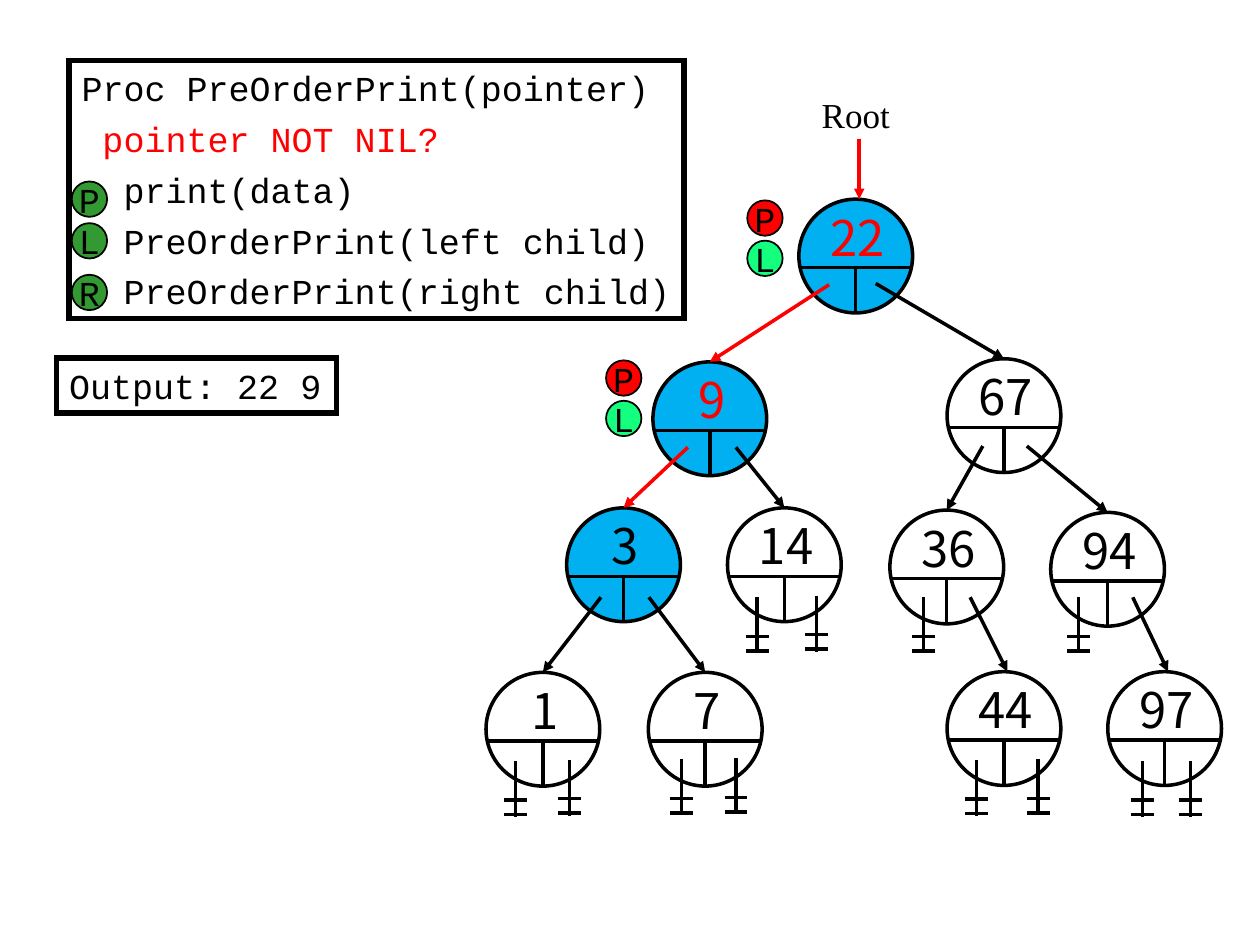
from dataclasses import dataclass
from typing import Any, Optional

from lxml.etree import SubElement
from pptx import Presentation
from pptx.dml.color import RGBColor
from pptx.enum.shapes import MSO_CONNECTOR, MSO_SHAPE
from pptx.enum.text import MSO_ANCHOR, MSO_AUTO_SIZE, PP_ALIGN
from pptx.oxml.ns import qn
from pptx.util import Pt

BLACK = RGBColor(0x00, 0x00, 0x00)
RED = RGBColor(0xFF, 0x00, 0x00)
VISITED_BLUE = RGBColor(0x00, 0xB0, 0xF0)
STEP_GREEN = RGBColor(0x33, 0x99, 0x33)
ACTIVE_GREEN = RGBColor(0x15, 0xFF, 0x7F)

CODE_FONT = {"name": "Courier New", "size": Pt(20)}
LABEL_FONT = {"name": "Times New Roman", "size": Pt(20)}
KEY_FONT = {"name": "Noto Sans CJK KR", "size": Pt(28)}
GROWING_FRAME = {
    "word_wrap": False,
    "auto_size": MSO_AUTO_SIZE.SHAPE_TO_FIT_TEXT,
    "vertical_anchor": MSO_ANCHOR.TOP,
}
CENTRED_FRAME = {"word_wrap": False, "vertical_anchor": MSO_ANCHOR.MIDDLE}

NODE_SIZE = 65
CHORD_DROP = 39.2
BADGE_SIZE = 20.2


@dataclass
class Node:
    key: str
    left: float
    top: float
    fill: Optional[RGBColor] = None
    color: RGBColor = BLACK


@dataclass
class Link:
    """An arrow to the top of a child, moved sideways by shift."""
    start_x: float
    start_y: float
    child: str
    color: RGBColor = BLACK
    shift: float = 0


@dataclass
class Badge:
    letter: str
    left: float
    top: float
    fill: RGBColor


@dataclass
class TextLine:
    text: str
    indent: float = 0
    color: RGBColor = BLACK
    space_before: float = 0


NODES = [
    Node("9", 373.1, 206.8, VISITED_BLUE, RED),
    Node("3", 323.8, 290.2, VISITED_BLUE),
    Node("67", 541.2, 205),
    Node("14", 415.7, 290.2),
    Node("1", 277.7, 384.2),
    Node("7", 370.5, 384.2),
    Node("36", 508.5, 291.5),
    Node("44", 541.2, 383.8),
    Node("94", 600.4, 292.8),
    Node("97", 633, 383.8),
    Node("22", 456.5, 113.8, VISITED_BLUE, RED),
]
LINKS = [
    Link(491, 79.2, "22", RED, 2),
    Link(473.8, 162.7, "9", RED),
    Link(393.1, 255.6, "3", RED),
    Link(420.5, 255.6, "14"),
    Link(343.4, 341.3, "1"),
    Link(370.8, 341.3, "7"),
    Link(500.4, 162, "67"),
    Link(586.8, 254.9, "94"),
    Link(561.6, 254.9, "36"),
    Link(554.4, 341.3, "44", shift=2),
    Link(647.3, 341.3, "97", shift=2),
]
NIL_POINTERS = [
    (294.5, 435), (325.4, 434.2), (389.5, 434), (420.5, 433.4),
    (432.7, 341.4), (466.5, 340.4), (558, 434.3), (593.3, 434),
    (680.4, 435), (653, 435), (527.8, 341.4), (616.3, 341.4),
]
BADGES = [
    Badge("L", 41, 127.5, STEP_GREEN),
    Badge("P", 41, 103.7, STEP_GREEN),
    Badge("R", 41, 157, STEP_GREEN),
    Badge("P", 427, 114.5, RED),
    Badge("L", 427, 137.5, ACTIVE_GREEN),
    Badge("P", 346.3, 205.9, RED),
    Badge("L", 346.3, 229, ACTIVE_GREEN),
]
PROCEDURE = [
    TextLine("Proc PreOrderPrint(pointer)", 0, BLACK, 5),
    TextLine("pointer NOT NIL?", 12, RED, 5),
    TextLine("print(data)", 24, BLACK, 5),
    TextLine("PreOrderPrint(left child)", 24, BLACK, 5),
    TextLine("PreOrderPrint(right child)", 24, BLACK, 5),
]


def apply_format(target: Any, values: dict) -> None:
    for name, value in values.items():
        setattr(target, name, value)


def write_line(para: Any, line: TextLine, font: dict, alignment: Any = PP_ALIGN.LEFT) -> None:
    apply_format(para, {"alignment": alignment, "space_before": Pt(line.space_before)})
    if line.indent:
        para._p.get_or_add_pPr().set("marL", str(Pt(line.indent)))
    span = para.add_run()
    span.text = line.text
    apply_format(span.font, font)
    span.font.color.rgb = line.color


def draw_outline(shapes: Any, kind: Any, bounds: tuple, weight: float,
                 fill: Optional[RGBColor] = None) -> Any:
    shape = shapes.add_shape(kind, *map(Pt, bounds))
    shape.shadow.inherit = False
    if fill is None:
        shape.fill.background()
    else:
        shape.fill.solid()
        shape.fill.fore_color.rgb = fill
    shape.line.color.rgb = BLACK
    shape.line.width = Pt(weight)
    SubElement(shape.line._get_or_add_ln(), qn("a:miter"), lim="800000")
    return shape


def draw_line(shapes: Any, points: tuple, color: RGBColor = BLACK, arrow: bool = False) -> None:
    line = shapes.add_connector(MSO_CONNECTOR.STRAIGHT, *map(Pt, points))
    line.line.color.rgb = color
    line.line.width = Pt(2)
    if arrow:
        SubElement(line.line._get_or_add_ln(), qn("a:tailEnd"), type="triangle")
    SubElement(line._element.spPr, qn("a:effectLst"))


def draw_code_box(shapes: Any, bounds: tuple, lines: list) -> None:
    frame = draw_outline(shapes, MSO_SHAPE.RECTANGLE, bounds, 3).text_frame
    apply_format(frame, GROWING_FRAME)
    for index, line in enumerate(lines):
        para = frame.add_paragraph() if index else frame.paragraphs[0]
        write_line(para, line, CODE_FONT)


def draw_badge(shapes: Any, badge: Badge) -> None:
    bounds = (badge.left, badge.top, BADGE_SIZE, BADGE_SIZE)
    frame = draw_outline(shapes, MSO_SHAPE.OVAL, bounds, 1, badge.fill).text_frame
    apply_format(frame, CENTRED_FRAME)
    write_line(frame.paragraphs[0], TextLine(badge.letter), CODE_FONT, PP_ALIGN.CENTER)


def draw_node(shapes: Any, node: Node) -> None:
    """Draw a circle with its key above two pointer cells."""
    parts = shapes.add_group_shape().shapes
    middle, chord = node.left + NODE_SIZE / 2, node.top + CHORD_DROP
    draw_outline(parts, MSO_SHAPE.OVAL, (node.left, node.top, NODE_SIZE, NODE_SIZE), 2, node.fill)
    draw_line(parts, (node.left, chord, node.left + NODE_SIZE, chord))
    draw_line(parts, (middle, node.top + NODE_SIZE, middle, chord))
    box = parts.add_textbox(Pt(node.left + 10.5), Pt(node.top + 0.9), Pt(46), Pt(41))
    apply_format(box.text_frame, CENTRED_FRAME)
    write_line(box.text_frame.paragraphs[0], TextLine(node.key, color=node.color),
               KEY_FONT, PP_ALIGN.CENTER)


def draw_nil(shapes: Any, x: float, top: float) -> None:
    """Draw a stem with two cross bars, the sign for an empty pointer."""
    parts = shapes.add_group_shape().shapes
    draw_line(parts, (x, top, x, top + 32))
    for drop in (22.2, 30.5):
        draw_line(parts, (x - 6.5, top + drop, x + 6.5, top + drop))


def main() -> None:
    deck = Presentation()
    deck.slide_width, deck.slide_height = Pt(720), Pt(540)
    shapes = deck.slides.add_slide(deck.slide_layouts[6]).shapes

    draw_code_box(shapes, (39.5, 34.7, 351.4, 147.4), PROCEDURE)
    root = shapes.add_textbox(Pt(462.5), Pt(49.9), Pt(53.3), Pt(31.5))
    apply_format(root.text_frame, GROWING_FRAME)
    write_line(root.text_frame.paragraphs[0], TextLine("Root"), LABEL_FONT)

    for node in NODES:
        draw_node(shapes, node)
    nodes = {node.key: node for node in NODES}
    for link in LINKS:
        child = nodes[link.child]
        end = (child.left + NODE_SIZE / 2 + link.shift, child.top)
        draw_line(shapes, (link.start_x, link.start_y, *end), link.color, arrow=True)
    for x, top in NIL_POINTERS:
        draw_nil(shapes, x, top)
    draw_code_box(shapes, (32.4, 204.6, 160, 31.5), [TextLine("Output: 22 9")])
    for badge in BADGES:
        draw_badge(shapes, badge)
    deck.save("out.pptx")


if __name__ == "__main__":
    main()
